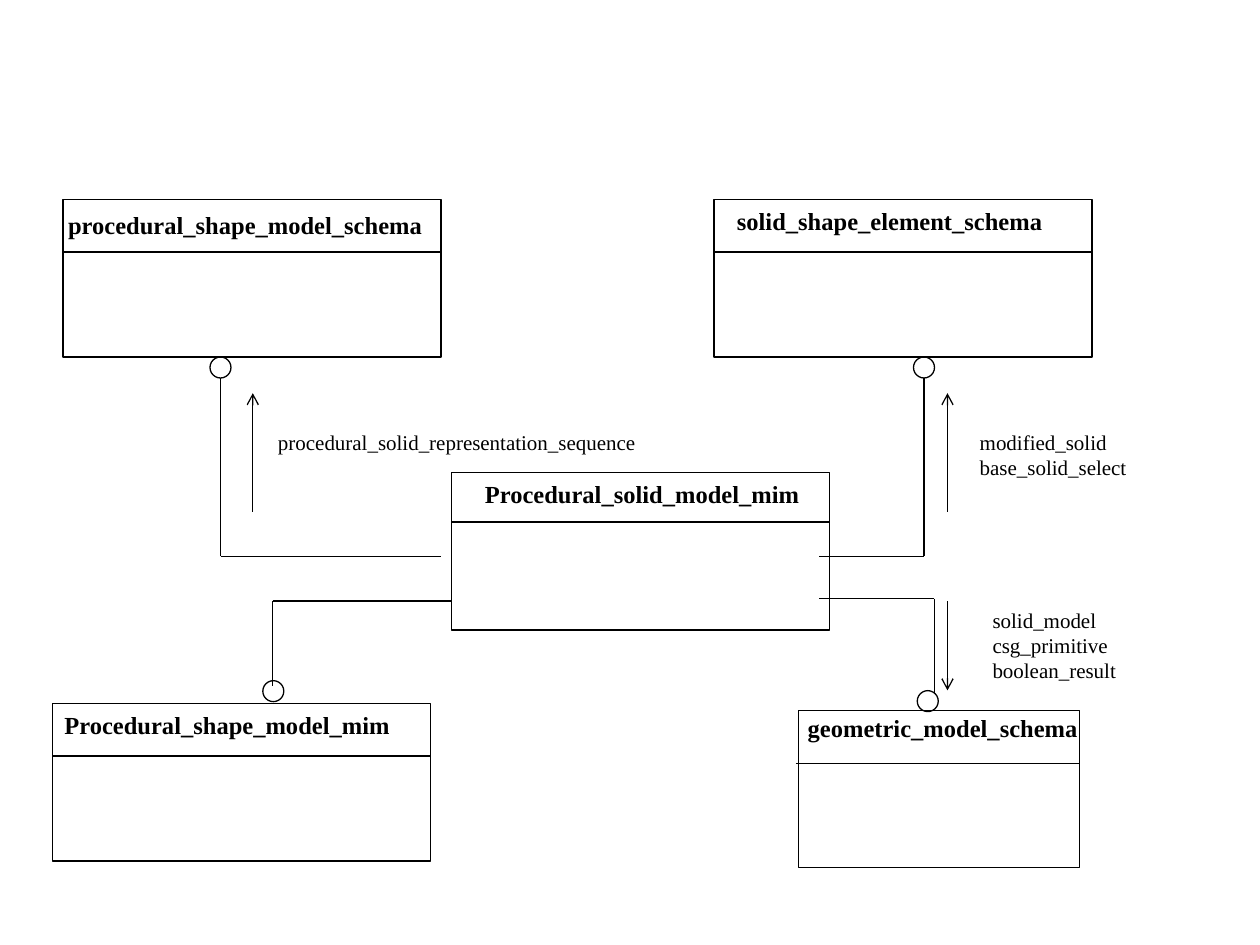
from pptx import Presentation
from pptx import util as u
from pptx.dml.color import RGBColor
from pptx.enum import shapes, text
from pptx.oxml.ns import qn
from lxml import etree

BLACK = RGBColor(0x00, 0x00, 0x00)
FONT = "Times New Roman"
LINE_WIDTH = u.Pt(0.75)

prs = Presentation()
prs.slide_width, prs.slide_height = u.Inches(10), u.Inches(7.5)
s = prs.slides.add_slide(prs.slide_layouts[6])

# Grid of 120 columns by 90 rows; cells are square
CELL = prs.slide_width // 120


def add_text(lines, x, y, w, h, size=12, bold=False, wrap=False):
    tb = s.shapes.add_textbox(*(round(v * CELL) for v in (x, y, w, h)))
    tf = tb.text_frame
    tf.word_wrap = wrap
    tf.auto_size = text.MSO_AUTO_SIZE.SHAPE_TO_FIT_TEXT
    for i, line in enumerate(lines):
        p = tf.paragraphs[0] if i == 0 else tf.add_paragraph()
        r = p.add_run()
        r.text = line
        r.font.name, r.font.size, r.font.bold = FONT, u.Pt(size), bold
        r.font.color.rgb = BLACK


def add_line(x1, y1, x2, y2, arrow=False):
    c = s.shapes.add_connector(shapes.MSO_CONNECTOR.STRAIGHT,
                               *(round(v * CELL) for v in (x1, y1, x2, y2)))
    c.line.color.rgb, c.line.width = BLACK, LINE_WIDTH
    if arrow:
        etree.SubElement(c.line._get_or_add_ln(), qn("a:tailEnd"), type="arrow")
    etree.SubElement(c._element.spPr, qn("a:effectLst"))


# Schema boxes: name, left, top, width, divider start and depth, name left, top, width
BOXES = [
    ("Procedural_solid_model_mim", 43, 45, 36, 43, 4.72, 45, 45, 32.4),
    ("procedural_shape_model_schema", 6, 19, 36, 6, 5, 5.3, 19.45, 36.4),
    ("solid_shape_element_schema", 68, 19, 36, 68, 5, 69, 19, 31.7),
    ("Procedural_shape_model_mim", 5, 67, 36, 5, 5, 4.95, 67, 33.5),
    ("geometric_model_schema", 76.05, 67.65, 26.75, 75.8, 5.05, 75.75, 67.35, 28.1),
]
RECT, OVAL = shapes.MSO_SHAPE.RECTANGLE, shapes.MSO_SHAPE.OVAL
outlines = [(RECT, x, y, w, 15) for _, x, y, w, *_ in BOXES]

# Circles at the referenced ends
outlines += [(OVAL, x, y, 2, 2)
             for x, y in [(20, 34), (87, 34), (25.03, 64.83), (87.36, 65.78)]]
for kind, *place in outlines:
    sp = s.shapes.add_shape(kind, *(round(v * CELL) for v in place))
    sp.shadow.inherit = False
    sp.fill.background()
    sp.line.color.rgb, sp.line.width = BLACK, LINE_WIDTH

# Box dividers and names
for name, x, y, w, start, depth, tx, ty, tw in BOXES:
    add_line(start, y + depth, x + w, y + depth)
    add_text([name], tx, ty, tw, 4.1, size=14, bold=True)

# Elbow links: circle end, corner, box end
for x, y_circle, y_corner, x_box in [(21, 36, 53, 42), (88, 36, 53, 78),
                                     (25.97, 65.3, 57.25, 43), (89, 66, 57, 78)]:
    add_line(x, y_circle, x, y_corner)
    add_line(x, y_corner, x_box, y_corner)

# Direction arrows
for x, y_from, y_to in [(24.08, 48.75, 37.45), (90.24, 48.75, 37.45),
                        (90.24, 57.25, 65.75)]:
    add_line(x, y_from, x, y_to, arrow=True)

# Referenced items
add_text(["procedural_solid_representation_sequence"], 25.3, 40.3, 36.5, 3.6)
add_text(["modified_solid", "base_solid_select"], 92.13, 40.3, 18, 6, wrap=True)
add_text(["solid_model", "csg_primitive", "boolean_result"], 93.35, 57.27, 14.2, 8.4)

prs.save("out.pptx")
